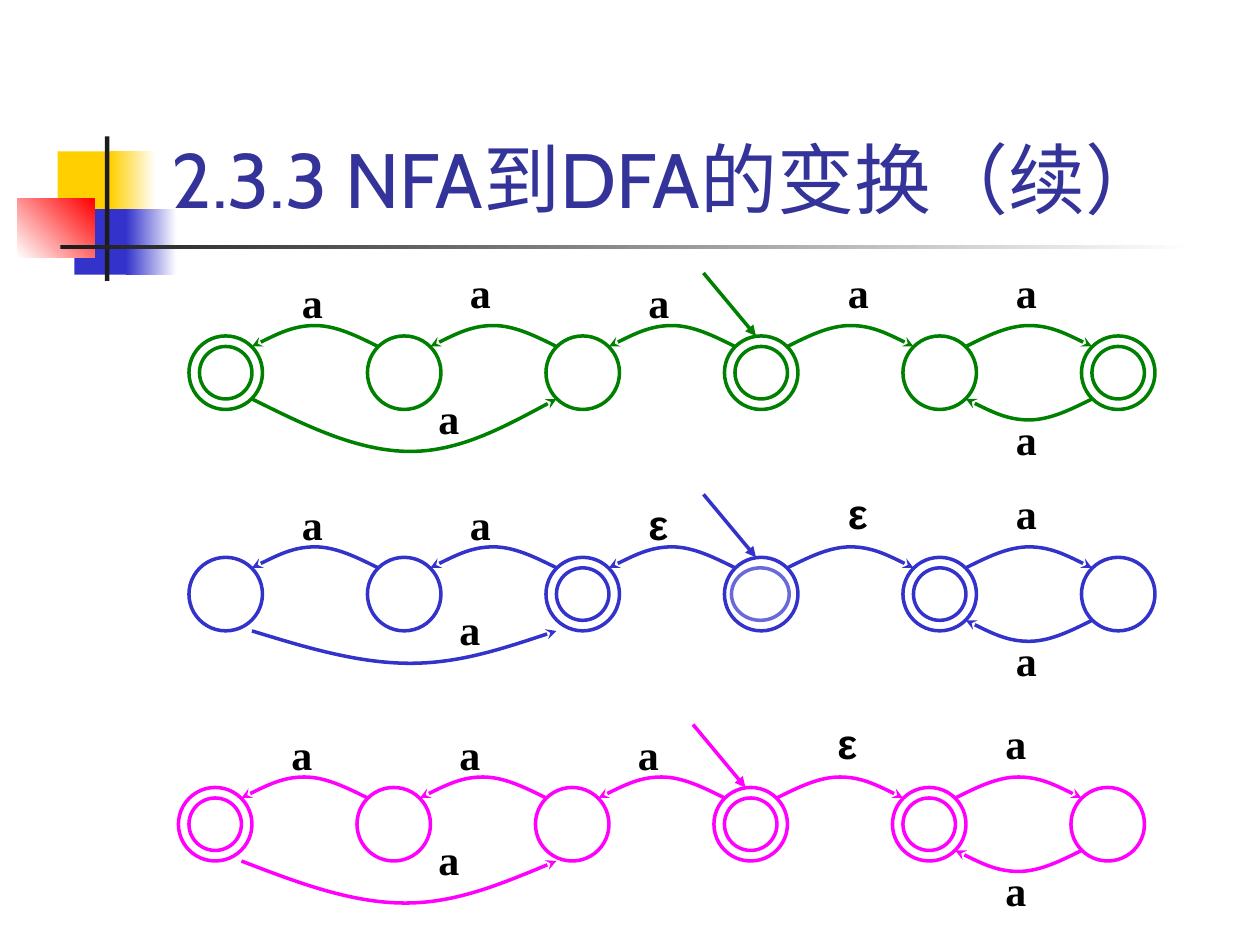
from dataclasses import dataclass
from typing import NamedTuple

from lxml import etree
from pptx import Presentation
from pptx.dml.color import RGBColor
from pptx.enum import shapes, text
from pptx.oxml.ns import qn
from pptx.util import Pt

COLORS = {
    "title": "333399", "label": "000000", "dark": "1C1C1C", "white": "FFFFFF",
    "yellow": "FFCF01", "blue": "3333CC", "red": "FF0000",
    "green": "008000", "magenta": "FF00FF", "pale": "6969DA",
}
PITCH, STATE, INSET = 102, 42, 6
ARC_DEPTH = 12
LABEL_X = (60, 156, 258, 372, 468)
LABEL_Y = (-36, -36, -36, -42, -42)


class Block(NamedTuple):
    x: float
    y: float
    w: float
    h: float
    start: str
    end: str = ""
    angle: float = 0


@dataclass
class Loop:
    width: float
    y: float
    depth: float
    peak: float
    label_x: float
    label_y: float


@dataclass
class Automaton:
    x: float
    y: float
    color: str
    accepting: tuple[int, ...]
    symbols: str
    loop: Loop
    raised: tuple[int, ...] = ()


BLOCKS = [
    Block(33, 86.5, 35, 37.5, "yellow"),
    Block(63, 86.5, 26, 37.5, "yellow", "white"),
    Block(42.5, 119.5, 33, 37.5, "blue"),
    Block(72, 119.5, 29, 37.5, "blue", "white"),
    Block(10, 113.5, 44, 33.5, "white", "red", 45),
    Block(60, 78, 2.5, 82.5, "dark"),
    Block(34.5, 140, 648, 2.5, "dark", "white"),
]
AUTOMATA = [
    Automaton(108, 192, "green", (0, 3, 5), "aaaaa",
              Loop(174, 36, 30, 0.52, 138, 30), raised=(1,)),
    Automaton(108, 318.5, "blue", (2, 4), "aaεεa",
              Loop(174, 42, 18.5, 0.52, 150, 24)),
    Automaton(102, 450, "magenta", (0, 3, 4), "aaaεa",
              Loop(180, 42, 24, 0.52, 144, 24)),
]


def rgb(name: str) -> RGBColor:
    return RGBColor.from_string(COLORS[name])


def write(tf, words: str, *, font: str, size: float, color: str,
          bold: bool = False, align=None) -> None:
    p = tf.paragraphs[0]
    p.alignment = align
    r = p.add_run()
    r.text = words
    r.font.name = font
    r.font.size = Pt(size)
    r.font.bold = bold
    r.font.color.rgb = rgb(color)


def outline(sp, color: str, head: str = "") -> None:
    sp.line.color.rgb = rgb(color)
    sp.line.width = Pt(2)
    if head:
        ln = sp._element.spPr.find(qn("a:ln"))
        etree.SubElement(ln, qn("a:tailEnd"), type=head)


def add_block(s, b: Block) -> None:
    sp = s.shapes.add_shape(shapes.MSO_SHAPE.RECTANGLE,
                            Pt(b.x), Pt(b.y), Pt(b.w), Pt(b.h))
    sp.shadow.inherit = False
    sp.line.fill.background()
    if b.end:
        sp.fill.gradient()
        sp.fill.gradient_angle = b.angle
        for stop, name in zip(sp.fill.gradient_stops, (b.start, b.end)):
            stop.color.rgb = rgb(name)
    else:
        sp.fill.solid()
        sp.fill.fore_color.rgb = rgb(b.start)


def add_circle(s, x: float, y: float, w: float, h: float, color: str) -> None:
    sp = s.shapes.add_shape(shapes.MSO_SHAPE.OVAL, Pt(x), Pt(y), Pt(w), Pt(h))
    sp.shadow.inherit = False
    sp.fill.background()
    outline(sp, color)


def add_arc(s, x: float, y: float, dx: float, depth: float, color: str,
            peak: float = 0.5) -> None:
    steps = [(peak / 3, 0.5), (peak * 2 / 3, 1), (peak, 1),
             (peak + (1 - peak) / 3, 1), (peak + (1 - peak) * 2 / 3, 0.5), (1, 0)]
    fb = s.shapes.build_freeform(Pt(x), Pt(y))
    fb.add_line_segments([(Pt(x + dx * u), Pt(y + depth * v)) for u, v in steps],
                         close=False)
    sp = fb.convert_to_shape()
    path = next(sp._element.iter(qn("a:path")))
    lines = path.findall(qn("a:lnTo"))
    for i in range(0, len(lines), 3):
        curve = etree.SubElement(path, qn("a:cubicBezTo"))
        for line in lines[i:i + 3]:
            curve.append(line[0])
            path.remove(line)
    sp.shadow.inherit = False
    sp.fill.background()
    outline(sp, color, "stealth")


def add_start(s, x: float, y: float, color: str) -> None:
    sp = s.shapes.add_connector(shapes.MSO_CONNECTOR.STRAIGHT,
                                Pt(x - 12), Pt(y - 36), Pt(x + 18), Pt(y))
    outline(sp, color, "triangle")
    etree.SubElement(sp._element.spPr, qn("a:effectLst"))


def add_label(s, x: float, y: float, symbol: str) -> None:
    sp = s.shapes.add_textbox(Pt(x), Pt(y), Pt(21), Pt(33))
    tf = sp.text_frame
    tf.word_wrap = False
    tf.auto_size = text.MSO_AUTO_SIZE.SHAPE_TO_FIT_TEXT
    tf.margin_left = tf.margin_right = Pt(4.5)
    tf.margin_top = tf.margin_bottom = Pt(2.25)
    write(tf, symbol, font="Arial" if symbol == "ε" else "Times New Roman",
          size=24, color="label", bold=True, align=text.PP_ALIGN.JUSTIFY)


def add_automaton(s, a: Automaton) -> None:
    xs = [a.x + PITCH * i for i in range(6)]
    inner = STATE - 2 * INSET
    for i, x in enumerate(xs):
        add_circle(s, x, a.y, STATE, STATE, a.color)
        if i in a.accepting:
            add_circle(s, x + INSET, a.y + INSET, inner, inner, a.color)
    add_start(s, xs[3], a.y, a.color)

    near, far = INSET, STATE - INSET
    span = PITCH - far + near
    for x in xs[1:4]:
        add_arc(s, x + near, a.y + near, -span, -ARC_DEPTH, a.color)
    for x in xs[3:5]:
        add_arc(s, x + far, a.y + near, span, -ARC_DEPTH, a.color)
    add_arc(s, xs[5] + near, a.y + far, -span, ARC_DEPTH, a.color)
    loop = a.loop
    add_arc(s, a.x + far, a.y + loop.y, loop.width, loop.depth, a.color, loop.peak)

    for i, (dx, dy, symbol) in enumerate(zip(LABEL_X, LABEL_Y, a.symbols)):
        add_label(s, a.x + dx, a.y + (-42 if i in a.raised else dy), symbol)
    add_label(s, a.x + LABEL_X[-1], a.y + 42, "a")
    add_label(s, a.x + loop.label_x, a.y + loop.label_y, "a")


def main() -> None:
    prs = Presentation()
    prs.slide_width, prs.slide_height = Pt(720), Pt(540)
    s = prs.slides.add_slide(prs.slide_layouts[5])
    for b in BLOCKS:
        add_block(s, b)

    title = s.shapes.title
    title.left, title.top, title.width, title.height = Pt(91), Pt(16.5), Pt(613.5), Pt(115)
    tf = title.text_frame
    tf.auto_size = text.MSO_AUTO_SIZE.NONE
    tf.vertical_anchor = text.MSO_ANCHOR.BOTTOM
    write(tf, "2.3.3 NFA到DFA的变换（续）", font="Cabin", size=44,
          color="title", align=text.PP_ALIGN.LEFT)

    for a in AUTOMATA:
        add_automaton(s, a)
    blue = AUTOMATA[1]
    add_circle(s, blue.x + 3 * PITCH + 4, blue.y + INSET, 33, 30, "pale")
    prs.save("out.pptx")


if __name__ == "__main__":
    main()
